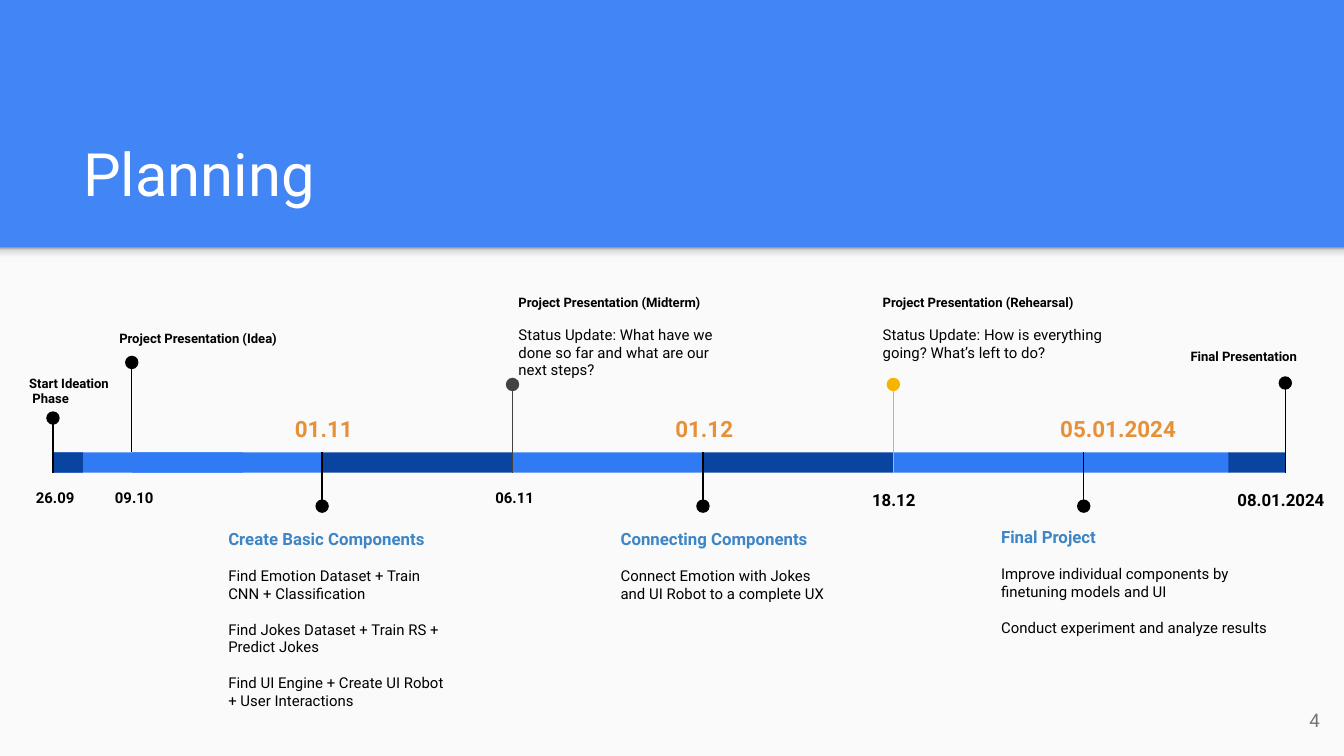
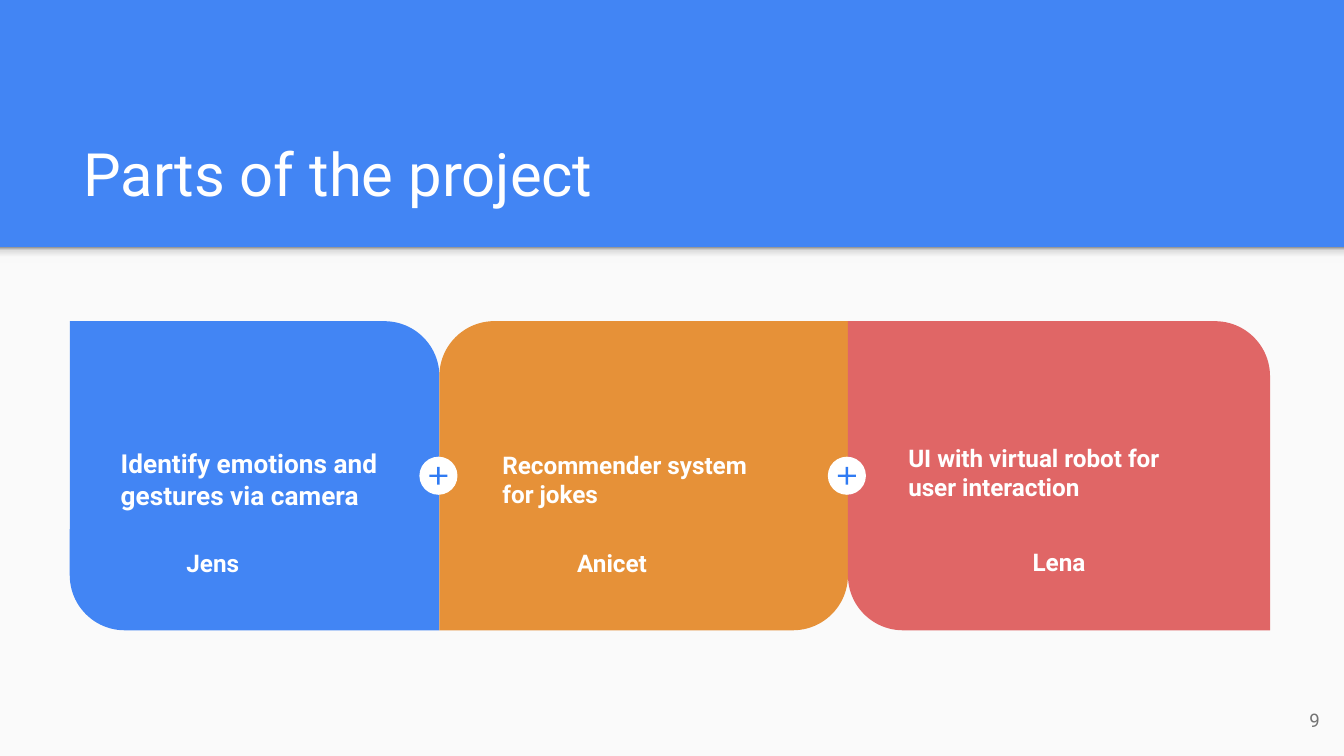
import dataclasses

import lxml.etree
import pptx
import pptx.dml.color
import pptx.enum.shapes
import pptx.enum.text
import pptx.oxml.ns
import pptx.util

Pt = pptx.util.Pt
SHAPE = pptx.enum.shapes.MSO_SHAPE
ALIGN = pptx.enum.text.PP_ALIGN
ANCHOR = pptx.enum.text.MSO_ANCHOR
rgb = pptx.dml.color.RGBColor.from_string
qn = pptx.oxml.ns.qn


@dataclasses.dataclass(frozen=True)
class Theme:
    font: str = "Roboto"
    blue: str = "4285F4"
    panel: str = "FAFAFA"
    white: str = "FFFFFF"
    black: str = "000000"
    grey: str = "737373"
    charcoal: str = "424242"
    yellow: str = "F4B400"
    orange: str = "E69138"
    red: str = "E06666"
    light_bar: str = "307BF3"
    dark_bar: str = "0944A1"
    heading: str = "3D85C6"
    title_size: float = 32
    card_size: float = 13
    date_size: float = 12
    number_size: float = 10
    heading_size: float = 9
    body_size: float = 8
    label_size: float = 7


theme = Theme()


def draw(slide, kind, box, colour, adjustments=()):
    shape = slide.shapes.add_shape(kind, *map(Pt, box))
    shape.shadow.inherit = False
    shape.fill.solid()
    shape.fill.fore_color.rgb = rgb(colour)
    shape.line.fill.background()
    for index, value in enumerate(adjustments):
        shape.adjustments[index] = value
    return shape


def write(frame, paragraphs, align=ALIGN.LEFT, anchor=ANCHOR.TOP, right=7.2, spacing=None):
    frame.word_wrap = True
    frame.auto_size = pptx.enum.text.MSO_AUTO_SIZE.NONE
    frame.vertical_anchor = anchor
    frame.margin_left = frame.margin_top = frame.margin_bottom = Pt(7.2)
    frame.margin_right = Pt(right)
    for index, (text, size, colour, bold, gap) in enumerate(paragraphs):
        paragraph = frame.paragraphs[0] if index == 0 else frame.add_paragraph()
        paragraph.alignment = align
        paragraph.space_before = Pt(gap)
        if spacing:
            paragraph.line_spacing = spacing
        for row, line in enumerate(text.split("\n")):
            if row:
                paragraph.add_line_break()
            run = paragraph.add_run()
            run.text = line
            run.font.name = theme.font
            run.font.size = Pt(size)
            run.font.bold = bold
            run.font.color.rgb = rgb(colour)


deck = pptx.Presentation()
deck.slide_width, deck.slide_height = Pt(720), Pt(405)
deck.slide_master.background.fill.solid()
deck.slide_master.background.fill.fore_color.rgb = rgb(theme.blue)

shade_stops = [(0, "F9F9F9"), (36, "F9F9F9"), (80, "DEDEDE"), (100, "999999")]
slides = []
for title, number in [("Planning", "4"), ("Parts of the project", "9")]:
    slide = deck.slides.add_slide(deck.slide_layouts[5])
    slides.append(slide)
    draw(slide, SHAPE.RECTANGLE, (0, 132.5, 720, 272.5), theme.panel)
    shade = draw(slide, SHAPE.RECTANGLE, (0, 132.5, 720, 8.6), theme.panel)
    shade.fill.gradient()
    shade.fill.gradient_angle = 90
    stop_list = shade.element.spPr.find(qn("a:gradFill")).find(qn("a:gsLst"))
    stop_list.clear()
    for position, colour in shade_stops:
        stop = lxml.etree.SubElement(stop_list, qn("a:gs"), pos=str(position * 1000))
        lxml.etree.SubElement(stop, qn("a:srgbClr"), val=colour)

    heading = slide.shapes.title
    heading.left, heading.top, heading.width, heading.height = map(Pt, (37.4, 58.3, 647.3, 60.5))
    write(heading.text_frame, [(title, theme.title_size, theme.white, False, 0)], anchor=ANCHOR.BOTTOM)
    page = slide.shapes.add_textbox(*map(Pt, (671, 370, 43.2, 31)))
    write(page.text_frame, [(number, theme.number_size, theme.grey, False, 0)], ALIGN.RIGHT, ANCHOR.MIDDLE)

planning, parts = slides

bar_top, bar_height, step = 242.4, 10.8, 102
bar_bottom = bar_top + bar_height
start, final = 28.4, 688.6
idea, basics, midterm, connecting, rehearsal, finishing = [70.6 + step * i for i in range(6)]

segments = [
    (idea, step, theme.light_bar),
    (basics, step, theme.dark_bar),
    (midterm, step, theme.light_bar),
    (connecting, step, theme.dark_bar),
    (rehearsal, 180, theme.light_bar),
    (658, 30.8, theme.dark_bar),
    (start, step, theme.light_bar),
    (start, 16, theme.dark_bar),
]
for left, width, colour in segments:
    draw(planning, SHAPE.RECTANGLE, (left, bar_top, width, bar_height), colour)

pins = [
    (idea, 194.2, bar_top, theme.black),
    (midterm, 206, bar_bottom, theme.charcoal),
    (rehearsal, 206, bar_bottom, theme.yellow),
    (start, 224, bar_bottom, theme.black),
    (final, 205.2, bar_bottom, theme.black),
    (basics, 271.2, bar_top, theme.black),
    (connecting, 271.2, bar_top, theme.black),
    (finishing, 271.2, bar_top, theme.black),
]
for centre, dot_middle, bar_end, colour in pins:
    stem = planning.shapes.add_connector(
        pptx.enum.shapes.MSO_CONNECTOR.STRAIGHT, *map(Pt, (centre, dot_middle, centre, bar_end)))
    stem.line.color.rgb = rgb(colour)
    stem.line.width = Pt(0.75)
    lxml.etree.SubElement(stem.element.spPr, qn("a:effectLst"))
    draw(planning, SHAPE.OVAL, (centre - 3.6, dot_middle - 3.6, 7.2, 7.2), colour)

dates = [
    ("26.09", 2.2, 253.4, 54.7, theme.body_size, theme.black),
    ("09.10", 44.6, 253.4, 54.7, theme.body_size, theme.black),
    ("06.11", 248.4, 253.4, 54.7, theme.body_size, theme.black),
    ("18.12", 449.3, 253.4, 59, theme.heading_size, theme.black),
    ("08.01.2024", 653.8, 253.4, 64.8, theme.heading_size, theme.black),
    ("01.11", 144, 213.1, 59, theme.date_size, theme.orange),
    ("01.12", 347.8, 213.1, 59, theme.date_size, theme.orange),
    ("05.01.2024", 551.5, 213.1, 95, theme.date_size, theme.orange),
]
for date, left, top, width, size, colour in dates:
    label = planning.shapes.add_textbox(*map(Pt, (left, top, width, 29.5)))
    write(label.text_frame, [(date, size, colour, True, 0)], ALIGN.CENTER, spacing=1.15)

events = [
    ((8.6, 193.7, 132.5, 28), "Start Ideation\n Phase", []),
    ((56.9, 169.9, 132.5, 22.3), "Project Presentation (Idea)", []),
    ((270.7, 150.5, 132.5, 60.5), "Project Presentation (Midterm)",
     ["Status Update: What have we done so far and what are our next steps?"]),
    ((465.8, 150.5, 132.5, 48.2), "Project Presentation (Rehearsal)",
     ["Status Update: How is everything going? What’s left to do?"]),
    ((630.7, 179.3, 73.4, 24.5), "Final Presentation", []),
]
phases = [
    ((115.2, 275.8, 133.2, 99.4), "Create Basic Components",
     ["Find Emotion Dataset + Train CNN + Classification",
      "Find Jokes Dataset + Train RS + Predict Jokes",
      "Find UI Engine + Create UI Robot + User Interactions"]),
    ((325.4, 275.8, 126.7, 74.2), "Connecting Components",
     ["Connect Emotion with Jokes and UI Robot to a complete UX"]),
    ((529.2, 275, 159.1, 74.9), "Final Project",
     ["Improve individual components by finetuning models and UI",
      "Conduct experiment and analyze results"]),
]
for entries, size, colour, gap in [
    (events, theme.label_size, theme.black, 8.2),
    (phases, theme.heading_size, theme.heading, 9.6),
]:
    for box, name, details in entries:
        note = planning.shapes.add_textbox(*map(Pt, box))
        write(note.text_frame, [(name, size, colour, True, 0)] + [
            (detail, theme.body_size, theme.black, False, gap) for detail in details])

card_top, card_height, rounding = 172.1, 165.6, 0.178
cards = [
    (37.4, 198, theme.blue, (0, rounding), "Identify emotions and gestures via camera", 14,
     (57.6, 232.6, 157.7, 45.4), "Jens", 286.6, 52),
    (235.4, 218.9, theme.orange, (rounding, 0), "Recommender system for jokes", theme.card_size,
     (262.1, 234, 163.4, 48.2), "Anicet", 286.6, 41),
    (454.3, 226.1, theme.red, (0, rounding), "UI with virtual robot for user interaction", theme.card_size,
     (479.5, 230.4, 168.5, 48.2), "Lena", 286.2, 7.2),
]
for left, width, colour, corners, task, size, task_box, person, person_top, right in cards:
    draw(parts, SHAPE.ROUND_2_DIAG_RECTANGLE, (left, card_top, width, card_height), colour, corners)
    task_text = parts.shapes.add_textbox(*map(Pt, task_box))
    write(task_text.text_frame, [(task, size, theme.white, True, 0)])
    person_text = parts.shapes.add_textbox(*map(Pt, (left, person_top, width, 19.4)))
    write(person_text.text_frame, [(person, theme.card_size, theme.white, True, 0)], ALIGN.CENTER, right=right)

for joint in (234.9, 453.7):
    middle = card_top + card_height / 2
    draw(parts, SHAPE.OVAL, (joint - 10.2, middle - 10.2, 20.4, 20.4), theme.white)
    draw(parts, SHAPE.MATH_PLUS, (joint - 6.5, middle - 6.5, 13, 13), theme.light_bar, (0.099,))

deck.save("out.pptx")
